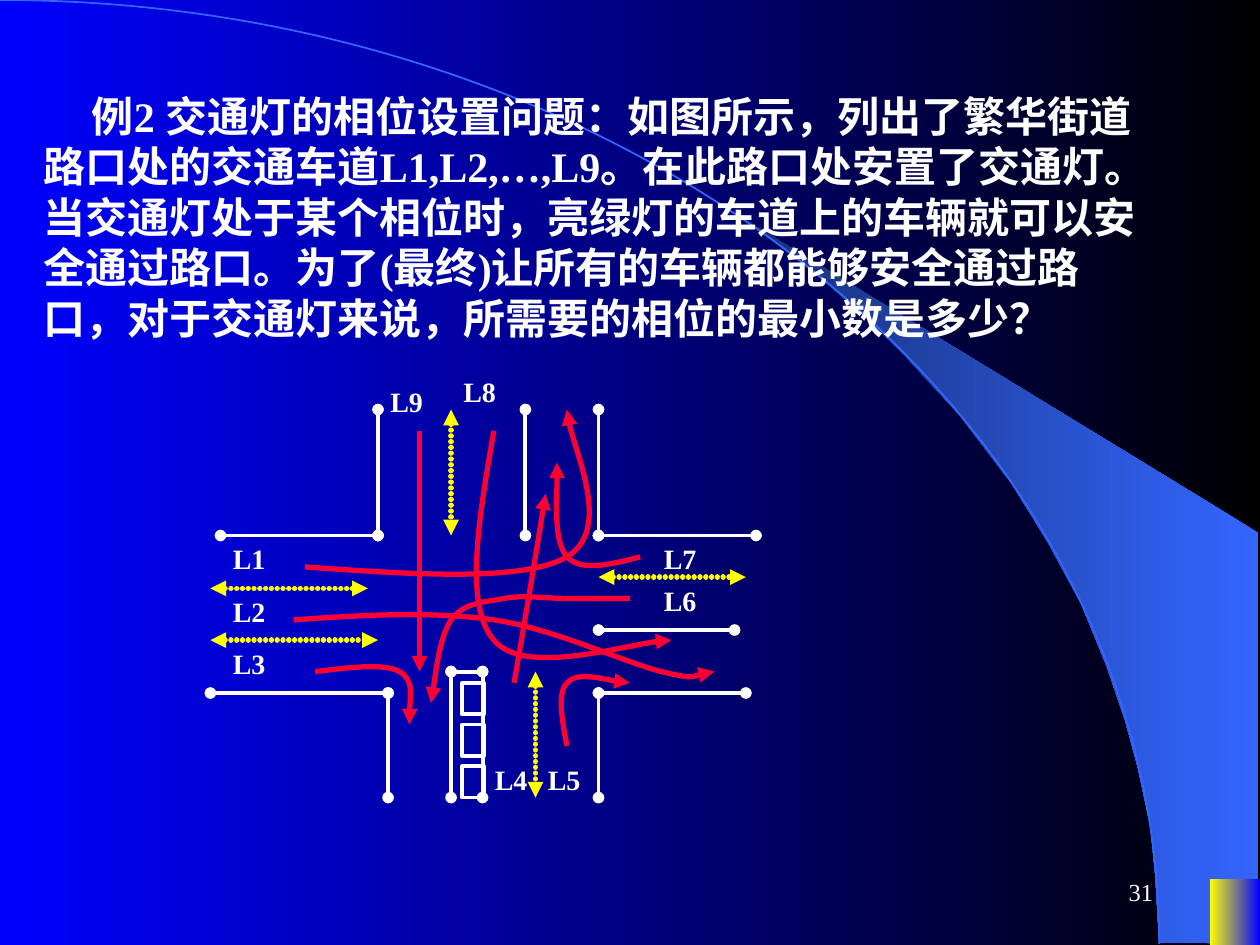
from pptx import Presentation
from pptx.dml.color import RGBColor
from pptx.enum.shapes import MSO_CONNECTOR, MSO_SHAPE
from pptx.enum.text import MSO_ANCHOR, PP_ALIGN
from pptx.oxml.ns import qn
from pptx.util import Inches, Pt
from lxml.etree import SubElement

COLORS = {
    "black": "000000",
    "blue": "0000FF",
    "sky": "3366FF",
    "navy": "172F75",
    "yellow": "FFFF00",
    "white": "FFFFFF",
    "red": "FF0033",
}
RGB = {name: RGBColor.from_string(value) for name, value in COLORS.items()}

deck = Presentation()
deck.slide_width = Inches(10)
deck.slide_height = Inches(7.5)
page = deck.slides.add_slide(deck.slide_layouts[6])
shapes = page.shapes


def style_line(shape, color, width, head=None, tail=None):
    shape.line.color.rgb = RGB[color]
    shape.line.width = Pt(width)
    outline = shape.line._get_or_add_ln()
    if color == "yellow":
        outline.set("cap", "rnd")
        dash = SubElement(SubElement(outline, qn("a:custDash")), qn("a:ds"))
        dash.set("d", "100000")
        dash.set("sp", "10000")
    for tag, kind in (("a:headEnd", head), ("a:tailEnd", tail)):
        if kind:
            SubElement(outline, qn(tag)).set("type", kind)


def add_text(place, text, size, bold=True, align=PP_ALIGN.LEFT):
    box = shapes.add_textbox(*[Inches(value) for value in place])
    box.text_frame.word_wrap = True
    para = box.text_frame.paragraphs[0]
    para.alignment = align
    span = para.add_run()
    span.text = text
    span.font.name = "Times New Roman"
    span.font.size = Pt(size)
    span.font.bold = bold
    span.font.color.rgb = RGB["white"]
    return box


beam_points = [
    (9.2, 7.48), (9.99, 7.49), (9.99, 4.23), (5.89, 1.73), (6.24, 1.99), (6.53, 2.22),
    (6.85, 2.5), (7.16, 2.8), (7.62, 3.3), (8.03, 3.84), (8.32, 4.31), (8.58, 4.79),
    (8.78, 5.28), (8.93, 5.72), (9.03, 6.09), (9.13, 6.56), (9.17, 6.96),
]
beam_start, *beam_rest = [(Inches(x), Inches(y)) for x, y in beam_points]
builder = shapes.build_freeform(*beam_start)
builder.add_line_segments(beam_rest, close=True)
beam = builder.convert_to_shape()
corner = shapes.add_shape(MSO_SHAPE.RECTANGLE, Inches(9.6), Inches(6.98), Inches(0.4), Inches(0.52))
for shape in (beam, corner):
    shape.shadow.inherit = False
    shape.line.fill.background()

for fill, first, last in (
    (page.background.fill, "black", "blue"),
    (beam.fill, "sky", "navy"),
    (corner.fill, "blue", "yellow"),
):
    fill.gradient()
    fill.gradient_angle = 180
    for stop, color, position in zip(fill.gradient_stops, (first, last), (0, 1)):
        stop.color.rgb = RGB[color]
        stop.position = position

problem = add_text(
    (0.25, 0.67, 9.08, 2.1),
    "例2 交通灯的相位设置问题：如图所示，列出了繁华街道路口处的交通车道L1,L2,…,L9。"
    "在此路口处安置了交通灯。当交通灯处于某个相位时，亮绿灯的车道上的车辆就可以安全通过路口。"
    "为了(最终)让所有的车辆都能够安全通过路口，对于交通灯来说，所需要的相位的最小数是多少？",
    24,
)
problem_format = problem.text_frame.paragraphs[0]._p.get_or_add_pPr()
problem_format.set("indent", str(Inches(0.38)))
problem_format.set("hangingPunct", "0")

curbs = [
    (3, 3.25, 3, 4.25), (1.75, 4.25, 3, 4.25),
    (1.67, 5.5, 3.08, 5.5), (3.08, 5.5, 3.08, 6.33),
    (4.17, 3.25, 4.17, 4.25), (4.75, 3.25, 4.75, 4.25),
    (4.75, 4.25, 6, 4.25), (4.75, 5, 5.83, 5),
    (4.75, 5.5, 5.92, 5.5), (4.75, 5.5, 4.75, 6.33),
    (3.58, 5.33, 3.58, 6.33), (3.58, 5.33, 3.83, 5.33), (3.83, 5.33, 3.83, 6.33),
]
dividers = [
    (1.67, 4.67, 2.92, 4.67), (1.67, 5.08, 3, 5.08), (3.58, 3.25, 3.58, 4.25),
    (4.75, 4.58, 5.92, 4.58), (4.25, 5.33, 4.25, 6.33),
]
straight_lanes = [(3.33, 3.42, 3.33, 5.33)]
for segments, color, width, head, tail in (
    (curbs, "white", 2.25, "oval", "oval"),
    (dividers, "yellow", 3, "triangle", "triangle"),
    (straight_lanes, "red", 3, None, "triangle"),
):
    for segment in segments:
        line = shapes.add_connector(MSO_CONNECTOR.STRAIGHT, *[Inches(value) for value in segment])
        style_line(line, color, width, head, tail)
        SubElement(line._element.spPr, qn("a:effectLst"))

for index in range(3):
    block = shapes.add_shape(
        MSO_SHAPE.RECTANGLE, Inches(3.67), Inches(5.42 + index * 0.33), Inches(0.17), Inches(0.25)
    )
    block.shadow.inherit = False
    block.fill.background()
    style_line(block, "white", 2.25)

lane_labels = {
    "L1": (1.75, 4.25), "L2": (1.75, 4.67), "L3": (1.75, 5.08),
    "L4": (3.83, 6), "L5": (4.25, 6), "L6": (5.17, 4.58),
    "L7": (5.17, 4.25), "L8": (3.58, 2.92), "L9": (3, 3),
}
for label, (left, top) in lane_labels.items():
    add_text((left, top, 0.6, 0.37), label, 16)

horizon = [(0, 0), (5.08, 0), (9.2, 3.35), (9.2, 7.49)]
curved_lanes = [
    [(2.33, 4.92), (2.88, 4.88), (3.43, 4.85), (3.92, 4.92), (4.4, 4.99), (4.96, 5.26),
     (5.25, 5.33), (5.54, 5.4), (5.6, 5.33), (5.67, 5.33)],
    [(2.5, 5.33), (2.77, 5.3), (3.04, 5.26), (3.17, 5.33), (3.29, 5.4), (3.24, 5.68), (3.25, 5.75)],
    [(5, 4.75), (4.83, 4.75), (4.67, 4.75), (4.5, 4.75), (4.33, 4.75), (4.15, 4.72), (4, 4.75),
     (3.85, 4.78), (3.68, 4.78), (3.58, 4.92), (3.49, 5.06), (3.44, 5.47), (3.42, 5.58)],
    [(4.5, 5.92), (4.46, 5.71), (4.42, 5.5), (4.5, 5.42), (4.58, 5.33), (4.92, 5.42), (5, 5.42)],
    [(3.92, 3.42), (3.8, 4.11), (3.68, 4.81), (3.92, 5.08), (4.15, 5.36), (5.1, 5.08), (5.33, 5.08)],
    [(5.08, 4.42), (4.85, 4.48), (4.61, 4.54), (4.5, 4.42), (4.39, 4.29), (4.43, 3.79), (4.42, 3.67)],
    [(4.08, 5.42), (4.19, 4.79), (4.29, 4.17), (4.33, 3.92)],
    [(2.42, 4.5), (3.28, 4.56), (4.15, 4.62), (4.5, 4.42), (4.85, 4.21), (4.5, 3.44), (4.5, 3.25)],
]
for points in [horizon] + curved_lanes:
    curve_start, *curve_rest = [(Inches(x), Inches(y)) for x, y in points]
    builder = shapes.build_freeform(*curve_start)
    builder.add_line_segments(curve_rest, close=False)
    curve = builder.convert_to_shape()
    curve.shadow.inherit = False
    curve.fill.background()
    if points is horizon:
        style_line(curve, "sky", 1)
        beam._element.addnext(curve._element)
    else:
        style_line(curve, "red", 3, tail="triangle")
    outline_path = next(curve._element.iter(qn("a:path")))
    steps = outline_path.findall(qn("a:lnTo"))
    for start in range(0, len(steps), 3):
        bend = SubElement(outline_path, qn("a:cubicBezTo"))
        for step in steps[start:start + 3]:
            bend.append(step[0])
            outline_path.remove(step)

number = add_text((7.17, 6.83, 2.08, 0.5), "31", 14, False, PP_ALIGN.RIGHT)
number.text_frame.vertical_anchor = MSO_ANCHOR.MIDDLE

deck.save("out.pptx")
